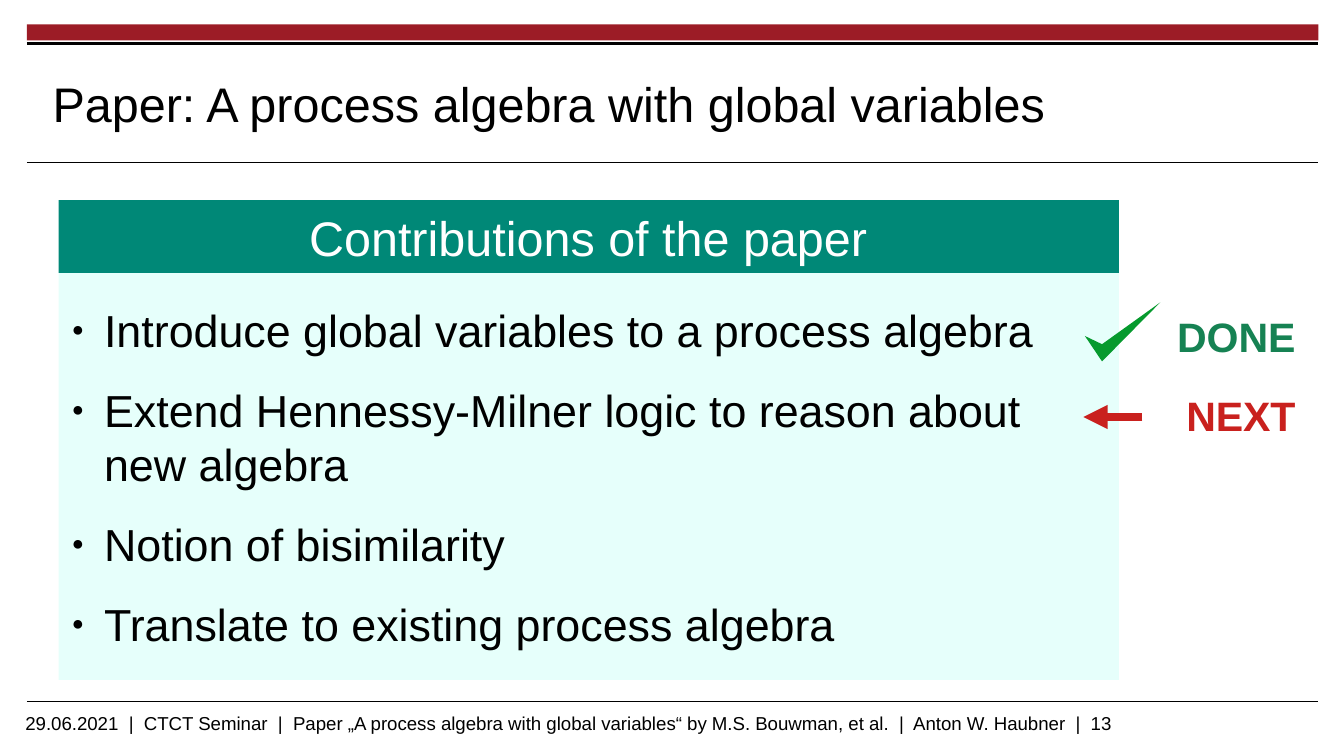
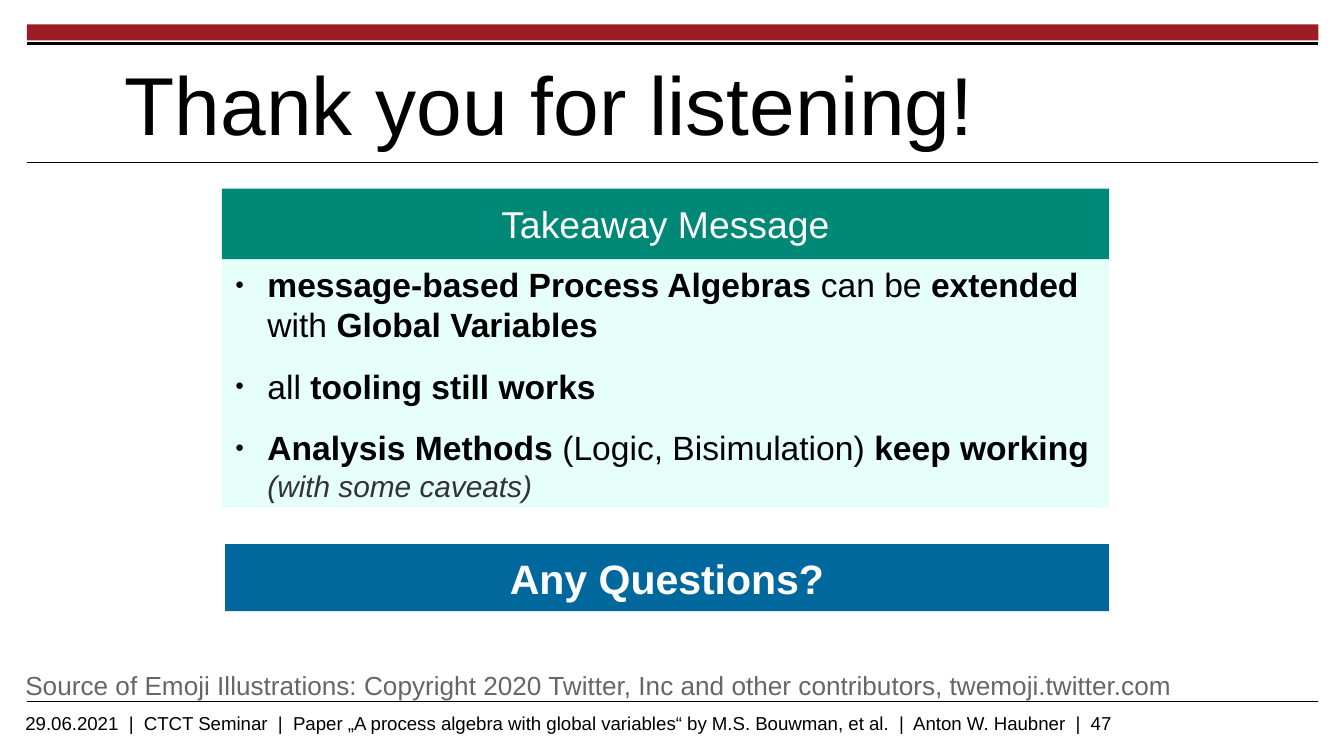
from lxml import etree
from pptx import Presentation
from pptx.dml.color import RGBColor
from pptx.enum.shapes import MSO_CONNECTOR, MSO_SHAPE
from pptx.enum.text import MSO_ANCHOR, MSO_AUTO_SIZE, PP_ALIGN
from pptx.oxml.ns import qn
from pptx.util import Pt

LEFT, CENTER, RIGHT = PP_ALIGN.LEFT, PP_ALIGN.CENTER, PP_ALIGN.RIGHT
TOP, MIDDLE = MSO_ANCHOR.TOP, MSO_ANCHOR.MIDDLE
RECTANGLE, STRAIGHT = MSO_SHAPE.RECTANGLE, MSO_CONNECTOR.STRAIGHT
NO_AUTOFIT = MSO_AUTO_SIZE.NONE

FONT = "Arial"
BLACK, WHITE, GREY, DARK_GREY = "000000", "FFFFFF", "666666", "333333"
CRIMSON, TEAL, MINT, BLUE = "9C1C26", "008877", "E6FFFB", "00689D"
CHECK_GREEN, DONE_GREEN, NEXT_RED = "069A2E", "168253", "C9211E"

RULE_LEFT, RULE_RIGHT = 14.4, 706.3
RULES = [(23.3, 1.19), (87.1, 0.6), (375.8, 0.6)]
FOOTER = ("29.06.2021  |  CTCT Seminar  |  Paper „A process algebra with global "
          "variables“ by M.S. Bouwman, et al.  |  Anton W. Haubner  |  {}")
BULLET_INDENT = 17.28
BOLD = {"bold": True}
CAVEAT = {"italic": True, "size": 16, "color": DARK_GREY}

CONTRIBUTIONS = [
    [("Introduce global variables to a process algebra", {})],
    [("Extend Hennessy-Milner logic to reason about new algebra", {})],
    [("Notion of bisimilarity", {})],
    [("Translate to existing process algebra", {})],
]
TAKEAWAYS = [
    [("message-based Process Algebras", BOLD), (" can be ", {}), ("extended", BOLD),
     (" with ", {}), ("Global Variables", BOLD)],
    [("all ", {}), ("tooling still works", BOLD)],
    [("Analysis Methods", BOLD), (" (Logic, Bisimulation) ", {}),
     ("keep working", BOLD), None, ("(with some caveats)", CAVEAT)],
]


def rgb(hex_color):
    """Turn a hex string into a colour."""
    return RGBColor.from_string(hex_color)


def add_run(paragraph, text, size, color, **styles):
    """Append one formatted run to a paragraph."""
    run = paragraph.add_run()
    run.text = text
    run.font.color.rgb = rgb(color)
    formats = {"name": FONT, "size": Pt(size), "bold": False, **styles}
    for attribute, value in formats.items():
        setattr(run.font, attribute, value)


def set_frame(frame, anchor, wrap=True, inset=(7.2, 3.6)):
    """Set the anchor, wrapping and insets of a text frame."""
    across, down = Pt(inset[0]), Pt(inset[1])
    formats = {"auto_size": NO_AUTOFIT, "word_wrap": wrap, "vertical_anchor": anchor,
               "margin_left": across, "margin_right": across,
               "margin_top": down, "margin_bottom": down}
    for attribute, value in formats.items():
        setattr(frame, attribute, value)


def write_line(frame, text, size, color, align, **styles):
    """Write a single paragraph into a text frame."""
    paragraph = frame.paragraphs[0]
    paragraph.alignment = align
    add_run(paragraph, text, size, color, **styles)


def add_bullet(paragraph):
    """Give a paragraph a small hanging dot."""
    properties = paragraph._p.get_or_add_pPr()
    indent = Pt(BULLET_INDENT)
    properties.set("marL", str(indent))
    properties.set("indent", str(-indent))
    color = etree.SubElement(properties, qn("a:buClr"))
    etree.SubElement(color, qn("a:srgbClr"), val=BLACK)
    etree.SubElement(properties, qn("a:buSzPct"), val="45000")
    etree.SubElement(properties, qn("a:buFont"), typeface=FONT)
    etree.SubElement(properties, qn("a:buChar"), char="●")


def paint(shape, color):
    """Fill a shape with a flat colour, without outline or shadow."""
    shape.shadow.inherit = False
    shape.fill.solid()
    shape.fill.fore_color.rgb = rgb(color)
    shape.line.fill.background()


def add_block(slide, box, color):
    """Add a flat rectangle and return its text frame."""
    block = slide.shapes.add_shape(RECTANGLE, *map(Pt, box))
    paint(block, color)
    set_frame(block.text_frame, MIDDLE)
    return block.text_frame


def add_label(slide, box, text, size, color, align=LEFT, wrap=True, **styles):
    """Add a one-line text box."""
    frame = slide.shapes.add_textbox(*map(Pt, box)).text_frame
    set_frame(frame, TOP, wrap)
    write_line(frame, text, size, color, align, **styles)


def add_line(slide, start, end, color, width):
    """Add a straight line and return it."""
    line = slide.shapes.add_connector(STRAIGHT, *map(Pt, start + end))
    line.line.color.rgb = rgb(color)
    line.line.width = Pt(width)
    etree.SubElement(line._element.spPr, qn("a:effectLst"))
    return line


def add_arrow(slide, start, end, color, width):
    """Add a line with a triangle at its end."""
    arrow = add_line(slide, start, end, color, width)
    etree.SubElement(arrow.line._get_or_add_ln(), qn("a:tailEnd"), type="triangle")


def add_check_mark(slide, points, color):
    """Draw a check mark through the given points."""
    corners = [(Pt(x), Pt(y)) for x, y in points]
    outline = slide.shapes.build_freeform(*corners[0])
    outline.add_line_segments(corners[1:], close=True)
    paint(outline.convert_to_shape(), color)


def add_panel(slide, box, header_height, heading, heading_size, items, size, gap):
    """Add a bulleted panel under a teal heading."""
    left, top, width, height = box
    body_box = (left, top + header_height, width, height - header_height)
    body = add_block(slide, body_box, MINT)
    for index, parts in enumerate(items):
        paragraph = body.add_paragraph() if index else body.paragraphs[0]
        paragraph.alignment = LEFT
        if index:
            paragraph.space_before = Pt(gap)
        add_bullet(paragraph)
        for part in parts:
            if part is None:
                paragraph.add_line_break()
            else:
                text, styles = part
                add_run(paragraph, text, **{"size": size, "color": BLACK, **styles})
    header = add_block(slide, (left, top, width, header_height), TEAL)
    write_line(header, heading, heading_size, WHITE, CENTER)


def add_slide(deck, title, title_size, number):
    """Add a slide with the shared band, rules, title and footer."""
    slide = deck.slides.add_slide(deck.slide_layouts[5])
    add_block(slide, (RULE_LEFT, 13, RULE_RIGHT - RULE_LEFT, 8.6), CRIMSON)
    for y, width in RULES:
        add_line(slide, (RULE_LEFT, y), (RULE_RIGHT, y), BLACK, width)
    add_label(slide, (6.5, 378, 699.8, 13.7), FOOTER.format(number), 10, BLACK)
    heading = slide.shapes.title
    heading.left, heading.top, heading.width, heading.height = map(
        Pt, (13.7, 30.2, 561.6, 49.7))
    set_frame(heading.text_frame, MIDDLE, inset=(0, 0))
    write_line(heading.text_frame, title, title_size, BLACK, CENTER)
    return slide


def build_contributions(deck):
    """Build the slide on the contributions of the paper."""
    slide = add_slide(deck, "Paper: A process algebra with global variables", 26, 13)
    add_panel(slide, (31.4, 107.3, 568, 257), 39, "Contributions of the paper", 26,
              CONTRIBUTIONS, 24, 14.2)
    check = [(581.2, 180), (590.4, 193.6), (621.6, 162), (590.4, 184.4)]
    add_check_mark(slide, check, CHECK_GREEN)
    for text, top, color in [("DONE", 163.4, DONE_GREEN), ("NEXT", 205.9, NEXT_RED)]:
        add_label(slide, (617, top, 84.2, 31.7), text, 22, color, RIGHT, bold=True)
    add_arrow(slide, (612, 223.4), (580.4, 223.4), NEXT_RED, 4.31)


def build_closing(deck):
    """Build the closing slide."""
    slide = add_slide(deck, "Thank you for listening!", 44, 47)
    add_panel(slide, (118.9, 101, 475.3, 171), 37.8, "Takeaway Message", 20,
              TAKEAWAYS, 18, 11.3)
    questions = add_block(slide, (120.6, 291.5, 473.4, 36), BLUE)
    write_line(questions, "Any Questions?", 22, WHITE, CENTER, bold=True)
    add_label(slide, (6.5, 355, 628.6, 23),
              "Source of Emoji Illustrations: Copyright 2020 Twitter, Inc "
              "and other contributors, twemoji.twitter.com", 14, GREY, wrap=False)


def main():
    """Build and save the deck."""
    deck = Presentation()
    deck.slide_width, deck.slide_height = Pt(720), Pt(405)
    build_contributions(deck)
    build_closing(deck)
    deck.save("out.pptx")


if __name__ == "__main__":
    main()
